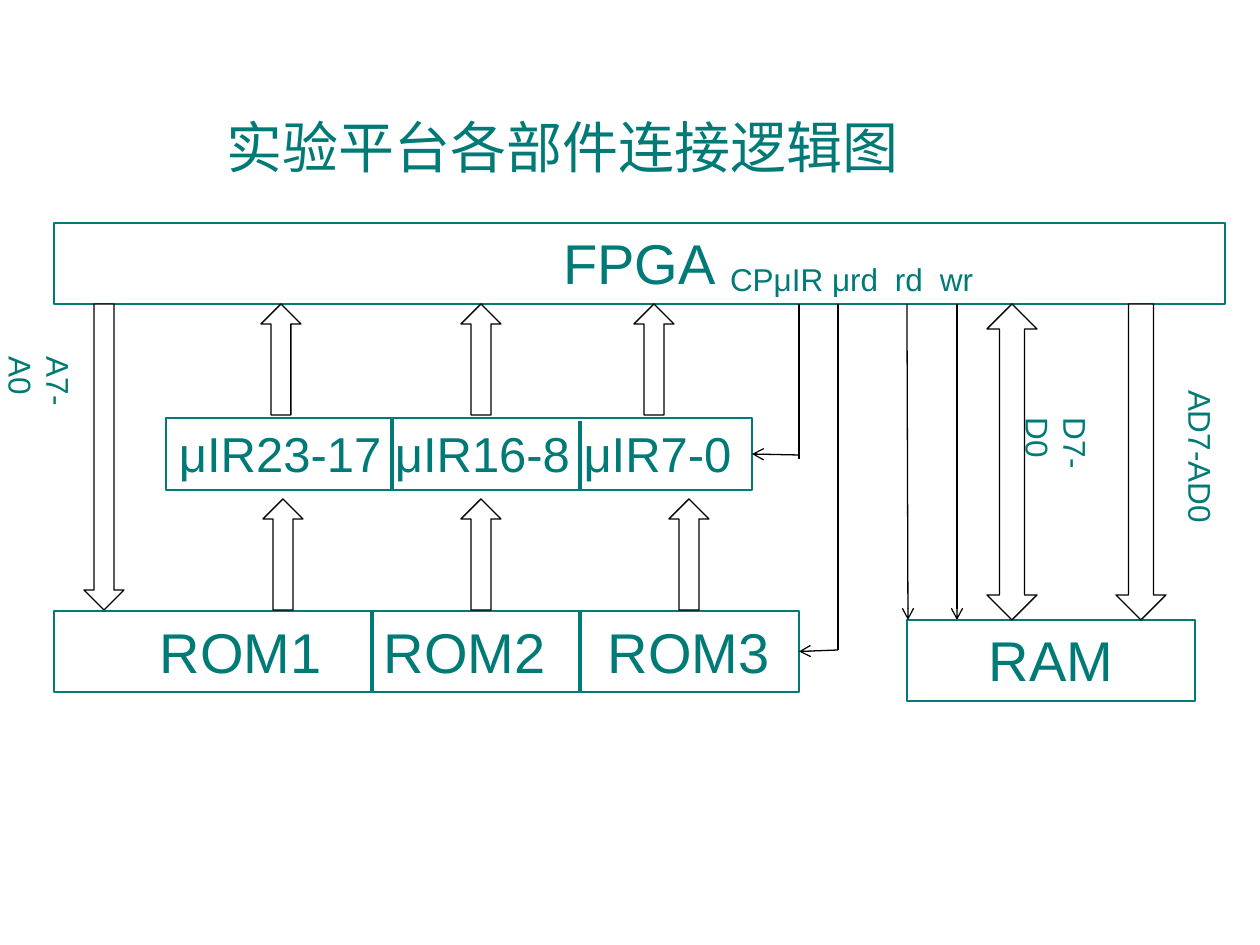
from lxml import etree
from pptx import Presentation
from pptx import util as u
from pptx.dml.color import RGBColor
from pptx.enum import shapes, text
from pptx.oxml.ns import qn

SCALE = 914400 / 126
COLORS = {"teal": "007A77", "black": "000000", "white": "FFFFFF"}
RGB = {name: RGBColor.from_string(value) for name, value in COLORS.items()}
SHAPE = shapes.MSO_SHAPE
LEFT, CENTER = text.PP_ALIGN.LEFT, text.PP_ALIGN.CENTER


def px(*lengths):
    return [u.Emu(round(length * SCALE)) for length in lengths]


def write(holder, words, size, align=LEFT, tabs=(), vertical=False):
    frame = holder.text_frame
    across, along = (6, 13) if vertical else (13, 6)
    layout = {
        "word_wrap": True,
        "auto_size": text.MSO_AUTO_SIZE.SHAPE_TO_FIT_TEXT,
        "vertical_anchor": text.MSO_ANCHOR.TOP,
        "margin_left": px(across)[0],
        "margin_right": px(across)[0],
        "margin_top": px(along)[0],
        "margin_bottom": px(along)[0],
    }
    for key, value in layout.items():
        setattr(frame, key, value)
    if vertical:
        frame._txBody.bodyPr.set("vert", "eaVert")
    paragraph = frame.paragraphs[0]
    paragraph.text = words
    paragraph.alignment = align
    if tabs:
        stops = etree.SubElement(paragraph._p.get_or_add_pPr(), qn("a:tabLst"))
        for stop in px(*tabs):
            etree.SubElement(stops, qn("a:tab"), pos=str(stop), algn="l")
    font = paragraph.runs[0].font
    for key, value in {"name": "Arial", "size": u.Pt(size)}.items():
        setattr(font, key, value)
    font.color.rgb = RGB["teal"]


prs = Presentation()
prs.slide_width, prs.slide_height = px(1260, 945)
slide = prs.slides.add_slide(prs.slide_layouts[6])

blocks = {}
for name, box, words, size, align, tabs in [
    ("fpga", (54, 223, 1171, 81), "FPGA", 32, CENTER, ()),
    ("registers", (166, 418, 586, 72), "μIR23-17 μIR16-8 μIR7-0", 28, LEFT, ()),
    ("roms", (54, 611, 745, 81), "\tROM1\tROM2\tROM3", 32, LEFT, (93, 317, 541)),
    ("ram", (907, 620, 288, 81), "RAM", 32, CENTER, ()),
]:
    block = slide.shapes.add_shape(SHAPE.RECTANGLE, *px(*box))
    block.shadow.inherit = False
    block.fill.background()
    block.line.color.rgb = RGB["teal"]
    block.line.width = u.Pt(1)
    write(block, words, size, align, tabs)
    blocks[name] = block

bus_arrows = [(SHAPE.UP_ARROW, x, 499, 40, 111) for x in (263, 461, 669)]
bus_arrows += [(SHAPE.UP_ARROW, x, 304, 40, 111) for x in (261, 461, 634)]
bus_arrows += [
    (SHAPE.UP_DOWN_ARROW, 987, 304, 50, 316),
    (SHAPE.DOWN_ARROW, 1116, 304, 50, 316),
    (SHAPE.DOWN_ARROW, 84, 304, 40, 306),
]
for kind, *box in bus_arrows:
    arrow = slide.shapes.add_shape(kind, *px(*box))
    arrow.shadow.inherit = False
    arrow.fill.solid()
    arrow.fill.fore_color.rgb = RGB["white"]
    arrow.line.color.rgb = RGB["black"]
    arrow.line.width = u.Pt(0.75)

for ends, color, width, pointed, target in [
    ((392, 418, 392, 491), "teal", 2, False, None),
    ((372, 610, 372, 691), "teal", 2, False, None),
    ((580, 421, 580, 491), "teal", 2, False, None),
    ((580, 611, 580, 692), "teal", 2, False, None),
    ((799, 304, 799, 459), "black", 0.75, False, None),
    ((799, 455, 752, 455), "black", 0.75, True, "registers"),
    ((838, 304, 838, 650), "black", 0.75, False, None),
    ((838, 650, 799, 651), "black", 0.75, True, "roms"),
    ((957, 304, 957, 620), "black", 0.75, True, None),
    ((907, 304, 908, 620), "black", 0.75, True, None),
]:
    wire = slide.shapes.add_connector(shapes.MSO_CONNECTOR.STRAIGHT, *px(*ends))
    wire.line.color.rgb = RGB[color]
    wire.line.width = u.Pt(width)
    if target:
        wire.end_connect(blocks[target], 3)
    if pointed:
        etree.SubElement(wire.line._get_or_add_ln(), qn("a:tailEnd"), type="arrow")
    etree.SubElement(wire._element.spPr, qn("a:effectLst"))

for box, words, size, tabs, vertical in [
    ((21, 344, 63, 113), "A7-A0", 18, (), True),
    ((1163, 377, 63, 198), "AD7-AD0", 18, (), True),
    ((1038, 405, 63, 113), "D7-D0", 18, (), True),
    ((717, 254, 320, 50), "CPμIR μrd\trd\twr", 18, (165, 210), False),
    ((213, 106, 887, 81), "实验平台各部件连接逻辑图", 32, (), False),
]:
    label = slide.shapes.add_textbox(*px(*box))
    write(label, words, size, tabs=tabs, vertical=vertical)

prs.save("out.pptx")
